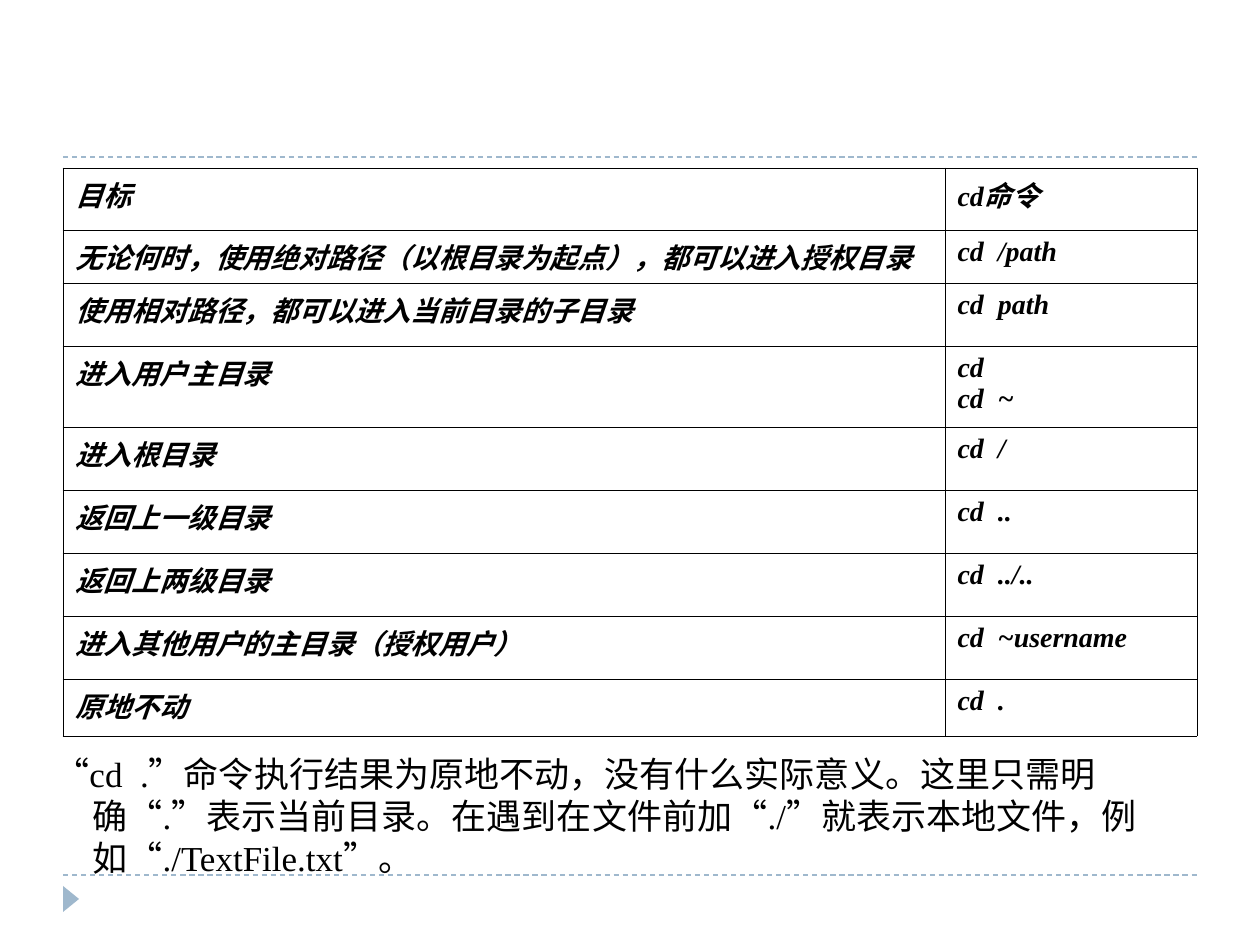
from typing import NamedTuple

from lxml.etree import SubElement
from pptx import Presentation
from pptx.dml.color import RGBColor
from pptx.enum.dml import MSO_LINE
from pptx.enum.shapes import MSO_CONNECTOR, MSO_SHAPE
from pptx.oxml.ns import qn
from pptx.util import Emu, Pt

COLORS = {"ink": "000000", "accent": "9FB8CD"}
SERIF, SANS = "Times New Roman", "Arial"
PX_PER_INCH = 126
HANGING = 38
LEFT, RIGHT = 63, 1197
COLUMN_WIDTHS = (882, 252)


class CommandRow(NamedTuple):
    goal: str
    command: str
    height: int = 63


ROWS = (
    CommandRow("目标", "cd命令", 62),
    CommandRow("无论何时，使用绝对路径（以根目录为起点），都可以进入授权目录", "cd  /path", 53),
    CommandRow("使用相对路径，都可以进入当前目录的子目录", "cd  path"),
    CommandRow("进入用户主目录", "cd\ncd  ~", 81),
    CommandRow("进入根目录", "cd  /"),
    CommandRow("返回上一级目录", "cd  .."),
    CommandRow("返回上两级目录", "cd  ../.."),
    CommandRow("进入其他用户的主目录（授权用户）", "cd  ~username"),
    CommandRow("原地不动", "cd  .", 57),
)
NOTE = (
    "“", "cd  .", "”", "命令执行结果为原地不动，没有什么实际意义。这里只需明确",
    "“", ".", "”", "表示当前目录。在遇到在文件前加",
    "“", "./", "”", "就表示本地文件，例如",
    "“", "./TextFile.txt", "”", "。",
)


def px(length: int) -> Emu:
    return Emu(round(length * 914400 / PX_PER_INCH))


def color(name: str) -> RGBColor:
    return RGBColor.from_string(COLORS[name])


def hang_indent(paragraph) -> None:
    properties = paragraph._p.get_or_add_pPr()
    properties.set("marL", str(px(HANGING)))
    properties.set("indent", str(-px(HANGING)))


def add_dashed_rule(page, y: int) -> None:
    rule = page.shapes.add_connector(
        MSO_CONNECTOR.STRAIGHT, px(LEFT), px(y), px(RIGHT), px(y))
    rule.line.color.rgb = color("accent")
    rule.line.width = Pt(0.75)
    rule.line.dash_style = MSO_LINE.DASH
    SubElement(rule._element.spPr, qn("a:effectLst"))


def add_marker(page) -> None:
    marker = page.shapes.add_shape(
        MSO_SHAPE.ISOSCELES_TRIANGLE, px(58), px(891), px(26), px(16))
    marker.rotation = 90
    marker.shadow.inherit = False
    marker.fill.solid()
    marker.fill.fore_color.rgb = color("accent")
    marker.line.fill.background()


def outline_cell(cell) -> None:
    properties = cell._tc.get_or_add_tcPr()
    for side in ("a:lnL", "a:lnR", "a:lnT", "a:lnB"):
        border = SubElement(properties, qn(side), w=str(Pt(0.45)))
        fill = SubElement(border, qn("a:solidFill"))
        SubElement(fill, qn("a:srgbClr"), val=COLORS["ink"])


def fill_cell(cell, text: str) -> None:
    outline_cell(cell)
    cell.fill.background()
    cell.text = text
    for paragraph in cell.text_frame.paragraphs:
        hang_indent(paragraph)
        font = paragraph.font
        font.name, font.size = SERIF, Pt(16)
        font.bold = font.italic = True
        font.color.rgb = color("ink")


def add_command_table(page) -> None:
    table = page.shapes.add_table(
        len(ROWS), len(COLUMN_WIDTHS), px(LEFT), px(168),
        px(sum(COLUMN_WIDTHS)), px(sum(row.height for row in ROWS))).table
    table.first_row = table.horz_banding = False
    for column, width in zip(table.columns, COLUMN_WIDTHS):
        column.width = px(width)
    for index, row in enumerate(ROWS):
        table.rows[index].height = px(row.height)
        fill_cell(table.cell(index, 0), row.goal)
        fill_cell(table.cell(index, 1), row.command)


def add_note(page) -> None:
    """Quotation marks are set in the sans font, all else in the serif."""
    box = page.shapes.add_textbox(px(42), px(746), px(1154), px(169))
    box.text_frame.word_wrap = True
    paragraph = box.text_frame.paragraphs[0]
    hang_indent(paragraph)
    paragraph.font.size = Pt(20)
    paragraph.font.color.rgb = color("ink")
    for text in NOTE:
        span = paragraph.add_run()
        span.text = text
        span.font.name = SANS if text in "“”" else SERIF
        span._r.get_or_add_rPr().set("lang", "zh-CN")


def main() -> None:
    deck = Presentation()
    deck.slide_width, deck.slide_height = px(1260), px(945)
    page = deck.slides.add_slide(deck.slide_layouts[6])
    for y in (875, 157):
        add_dashed_rule(page, y)
    add_marker(page)
    add_command_table(page)
    add_note(page)
    deck.save("out.pptx")


if __name__ == "__main__":
    main()
